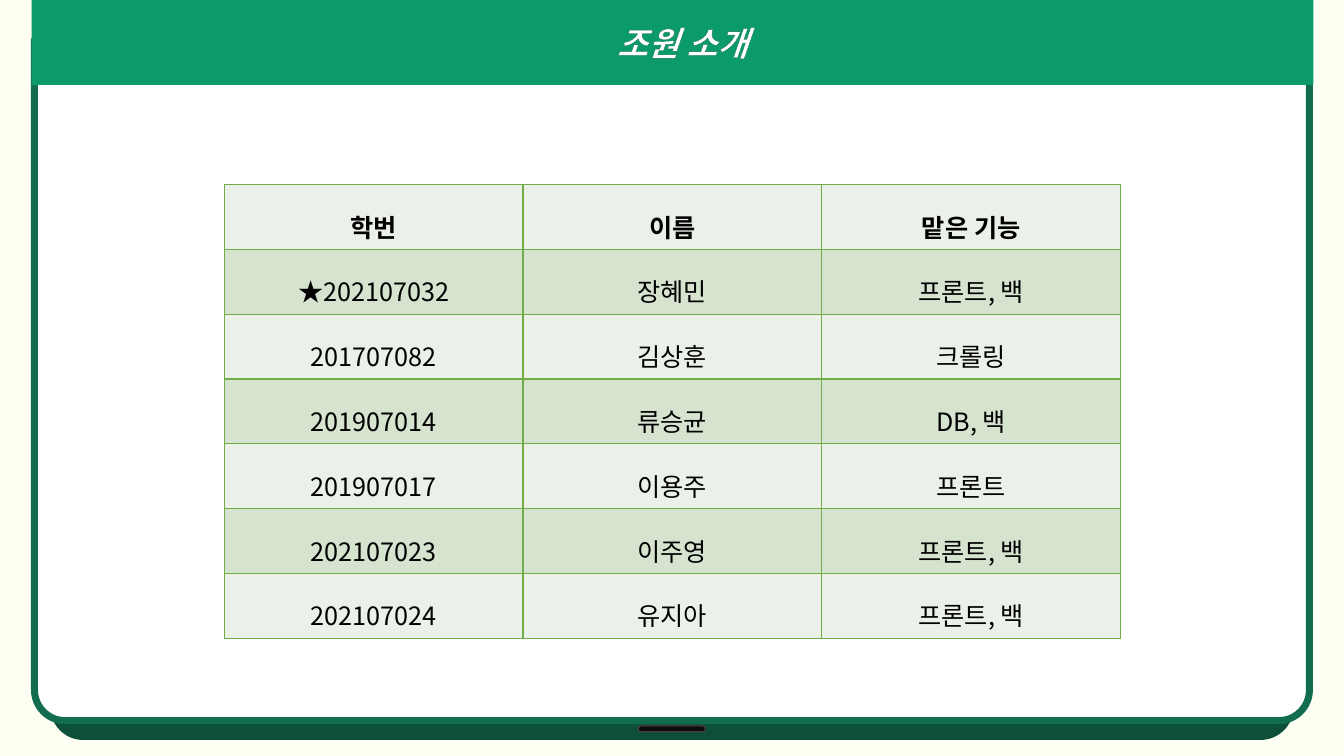
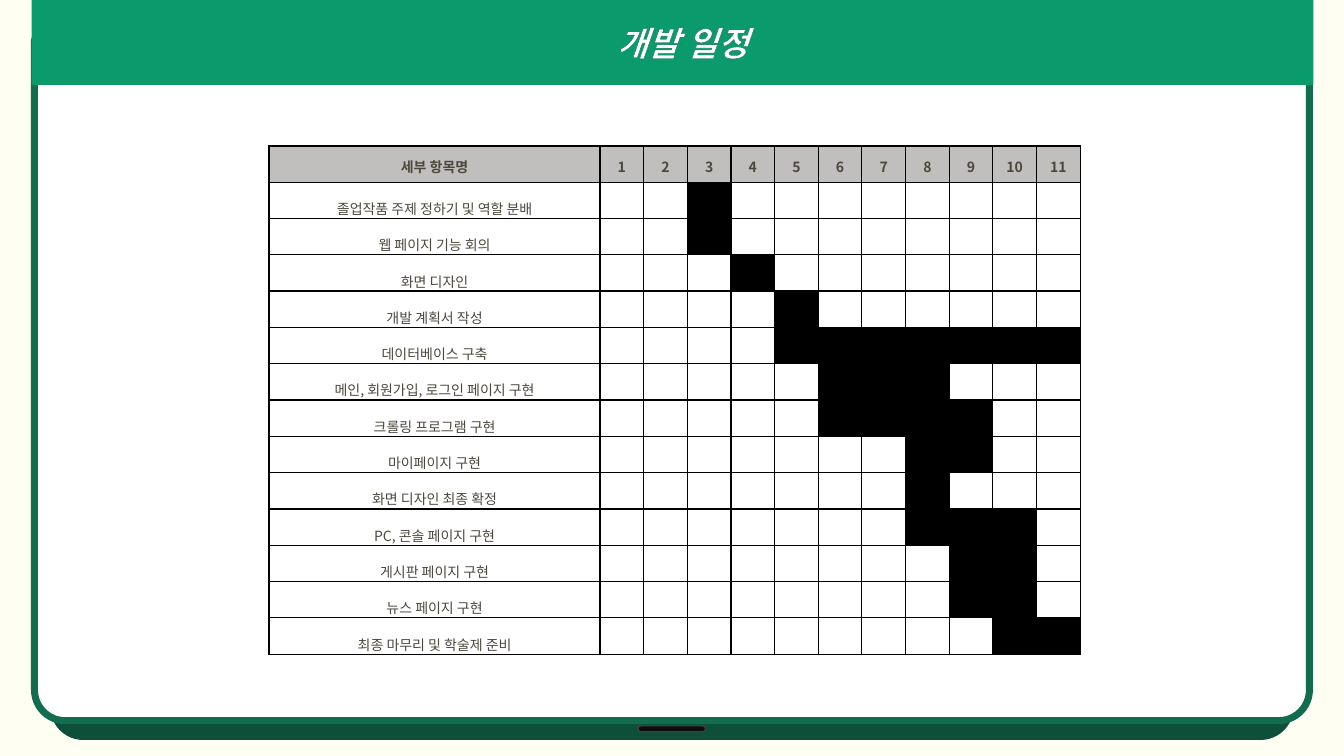
import pptx
import pptx.util
import pptx.dml.color
import pptx.enum.shapes
import pptx.enum.text
import pptx.oxml
import pptx.oxml.ns
import lxml.etree

Cm = pptx.util.Cm
Pt = pptx.util.Pt
RGBColor = pptx.dml.color.RGBColor
Shape = pptx.enum.shapes.MSO_SHAPE
Anchor = pptx.enum.text.MSO_ANCHOR
Align = pptx.enum.text.PP_ALIGN
qn = pptx.oxml.ns.qn

FONT = "Noto Sans CJK KR"
CREAM = RGBColor(0xFE, 0xFE, 0xF2)
WHITE = RGBColor(0xFF, 0xFF, 0xFF)
BLACK = RGBColor(0x00, 0x00, 0x00)
GREEN = RGBColor(0x0B, 0x9A, 0x6C)
FRAME = RGBColor(0x12, 0x6D, 0x4E)
SHADE = RGBColor(0x0D, 0x4F, 0x39)
INK = RGBColor(0x0D, 0x0D, 0x0D)
EDGE = RGBColor(0x40, 0x40, 0x40)
LEAF = RGBColor(0x70, 0xAD, 0x47)
PALE = RGBColor(0xEB, 0xF1, 0xE9)
MINT = RGBColor(0xD5, 0xE3, 0xCF)
GREY = RGBColor(0xC1, 0xBF, 0xBD)
BROWN = RGBColor(0x4C, 0x48, 0x3D)

TEAM = [
    ("학번", "이름", "맡은 기능"),
    ("★202107032", "장혜민", "프론트, 백"),
    ("201707082", "김상훈", "크롤링"),
    ("201907014", "류승균", "DB, 백"),
    ("201907017", "이용주", "프론트"),
    ("202107023", "이주영", "프론트, 백"),
    ("202107024", "유지아", "프론트, 백"),
]
MONTHS = 11
TASKS = [
    ("졸업작품 주제 정하기 및 역할 분배", 3, 3),
    ("웹 페이지 기능 회의", 3, 3),
    ("화면 디자인", 4, 4),
    ("개발 계획서 작성", 5, 5),
    ("데이터베이스 구축", 5, 11),
    ("메인, 회원가입, 로그인 페이지 구현", 6, 8),
    ("크롤링 프로그램 구현", 6, 9),
    ("마이페이지 구현", 8, 9),
    ("화면 디자인 최종 확정", 8, 8),
    ("PC, 콘솔 페이지 구현", 8, 10),
    ("게시판 페이지 구현", 9, 10),
    ("뉴스 페이지 구현", 9, 10),
    ("최종 마무리 및 학술제 준비", 10, 11),
]


def add_xml(parent, tag, **attrs):
    node = lxml.etree.SubElement(parent, qn(tag))
    for key, value in attrs.items():
        node.set(key, str(value))
    return node


def add_fill(parent, color):
    add_xml(add_xml(parent, "a:solidFill"), "a:srgbClr", val=color)


def style_run(run, size, color, bold=False, italic=False):
    font = run.font
    font.size = Pt(size)
    font.bold = bold
    font.italic = italic
    font.name = FONT
    font.color.rgb = color
    add_xml(run.font._element, "a:ea", typeface=FONT)


def add_box(slide, kind, area, fill, line, width):
    box = slide.shapes.add_shape(kind, *map(Cm, area))
    box.shadow.inherit = False
    box.fill.solid()
    box.fill.fore_color.rgb = fill
    box.line.color.rgb = line
    box.line.width = Pt(width)
    return box


def add_panel(slide):
    kind = Shape.ROUND_2_SAME_RECTANGLE
    panel = add_box(slide, kind, (0.87, 1, 32.13, 17.16), WHITE, FRAME, 5)
    panel.adjustments[0] = 0
    panel.adjustments[1] = 0.045
    glow = panel._element.spPr.find(qn("a:effectLst"))
    drop = add_xml(glow, "a:outerShdw", blurRad=0, dist=Pt(26), dir=5400000,
                   sx=97000, sy=97000, algn="t", rotWithShape=0)
    add_xml(drop, "a:srgbClr", val=SHADE)
    slide.shapes._spTree.insert(2, panel._element)


def set_title(slide, text):
    band = slide.shapes.title
    band.left, band.top, band.width, band.height = map(Cm, (0.8, 0, 32.3, 2.14))
    band.fill.solid()
    band.fill.fore_color.rgb = GREEN
    frame = band.text_frame
    frame.text = text
    frame.vertical_anchor = Anchor.MIDDLE
    par = frame.paragraphs[0]
    par.alignment = Align.CENTER
    par._p.get_or_add_pPr().set("marL", str(Cm(0.5)))
    run = par.runs[0]
    style_run(run, 24, WHITE, True, True)
    line = lxml.etree.Element(qn("a:ln"), w=str(Pt(1)))
    add_fill(line, FRAME)
    run.font._element.insert(0, line)


def add_page(deck, title):
    slide = deck.slides.add_slide(deck.slide_layouts[5])
    set_title(slide, title)
    add_panel(slide)
    pill = add_box(slide, Shape.ROUNDED_RECTANGLE, (16.08, 18.29, 1.7, 0.15), INK, EDGE, 1)
    pill.adjustments[0] = 0.5
    return slide


def add_grid(slide, left, top, widths, height, rows):
    size = map(Cm, (left, top, sum(widths), height * rows))
    table = slide.shapes.add_table(rows, len(widths), *size).table
    table.first_row = False
    table.horz_banding = False
    for col, width in zip(table.columns, widths):
        col.width = Cm(width)
    for row in table.rows:
        row.height = Cm(height)
    return table


def set_cell(cell, text, fill, edge, size, color, bold, space):
    cell.text_frame.text = text
    par = cell.text_frame.paragraphs[0]
    par.alignment = Align.CENTER
    if text:
        par.line_spacing = space
        style_run(par.runs[0], size, color, bold)
    else:
        add_xml(par._p, "a:endParaRPr", sz=size * 100)
    props = cell._tc.get_or_add_tcPr()
    for side in ("a:lnL", "a:lnR", "a:lnT", "a:lnB"):
        add_fill(add_xml(props, side, w=Pt(1)), edge)
    cell.fill.solid()
    cell.fill.fore_color.rgb = fill


def add_team(slide):
    table = add_grid(slide, 5.65, 4.65, [7.53] * 3, 1.57, len(TEAM))
    for r, row in enumerate(TEAM):
        fill = MINT if r % 2 else PALE
        for c, text in enumerate(row):
            set_cell(table.cell(r, c), text, fill, LEAF, 18, BLACK, r == 0, 1.5)


def add_plan(slide):
    widths = [8.34] + [1.1] * MONTHS
    table = add_grid(slide, 6.78, 3.68, widths, 0.91, len(TASKS) + 1)
    head = ["세부 항목명"] + [str(m) for m in range(1, MONTHS + 1)]
    for c, text in enumerate(head):
        cell = table.cell(0, c)
        set_cell(cell, text, GREY, BLACK, 10, BROWN, True, 1.25)
        cell.vertical_anchor = Anchor.MIDDLE
    for r, (task, start, end) in enumerate(TASKS, 1):
        for c in range(MONTHS + 1):
            fill = BLACK if start <= c <= end else WHITE
            text = "" if c else task
            set_cell(table.cell(r, c), text, fill, BLACK, 10, BROWN, False, 1.8)
    for cell in table.iter_cells():
        cell.margin_left = cell.margin_right = Cm(0.18)
        cell.margin_top = cell.margin_bottom = 0


def main():
    deck = pptx.Presentation()
    deck.slide_width = Cm(33.87)
    deck.slide_height = Cm(19.05)
    back = deck.slide_master.background.fill
    back.solid()
    back.fore_color.rgb = CREAM
    add_team(add_page(deck, "조원 소개"))
    add_plan(add_page(deck, "개발 일정"))
    deck.save("out.pptx")


if __name__ == "__main__":
    main()
